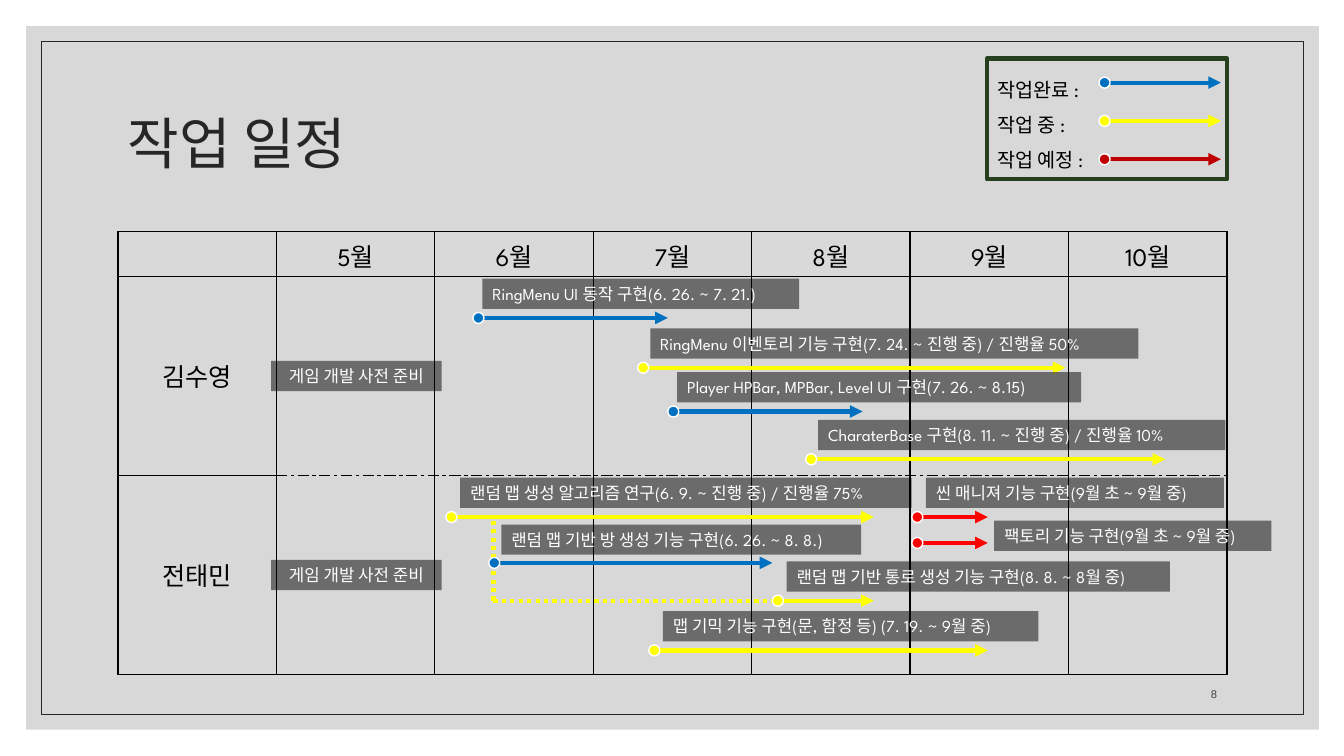
"""Build the work schedule slide: a month grid with task arrows and a legend."""
from lxml import etree
from pptx import Presentation
from pptx import util as u
from pptx.dml.color import RGBColor
from pptx.enum import dml, shapes, text
from pptx.oxml.ns import qn

BLACK = RGBColor(0x00, 0x00, 0x00)
WHITE = RGBColor(0xFF, 0xFF, 0xFF)
PANEL = RGBColor(0xBF, 0xBF, 0xBF)
HEADER = RGBColor(0xD9, 0xD9, 0xD9)
INK = RGBColor(0x26, 0x26, 0x26)
GREY = RGBColor(0x40, 0x40, 0x40)
GREEN = RGBColor(0x26, 0x3F, 0x1C)
BLUE = RGBColor(0x00, 0x70, 0xC0)
YELLOW = RGBColor(0xFF, 0xFF, 0x00)
RED = RGBColor(0xFF, 0x00, 0x00)
DARK_RED = RGBColor(0xC0, 0x00, 0x00)

BODY_FONT = "League Spartan"
W, H = 13.33, 7.5
LEFT, TOP, HEAD = 1.17, 2.3, 0.44
COL, ROW = 11 / 7, 3.95 / 2
BODY = TOP + HEAD
DOT, LABEL_H = 0.11, 0.3
RECT, OVAL = shapes.MSO_SHAPE.RECTANGLE, shapes.MSO_SHAPE.OVAL
LEFT_AL, CENTER, RIGHT = text.PP_ALIGN.LEFT, text.PP_ALIGN.CENTER, text.PP_ALIGN.RIGHT

prs = Presentation()
prs.slide_width, prs.slide_height = u.Inches(W), u.Inches(H)
s = prs.slides.add_slide(prs.slide_layouts[6])


def box(x, y, w, h, kind=RECT, fill=None, alpha=100, line=None, width=1, lines=(),
        size=12, font=BODY_FONT, color=WHITE, align=LEFT_AL,
        anchor=text.MSO_ANCHOR.MIDDLE, spacing=None):
    at = [u.Inches(v) for v in (x, y, w, h)]
    if kind is None:
        sp = s.shapes.add_textbox(*at)
    else:
        sp = s.shapes.add_shape(kind, *at)
        sp.shadow.inherit = False
    if fill is None:
        sp.fill.background()
    else:
        sp.fill.solid()
        sp.fill.fore_color.rgb = fill
        if alpha < 100:
            rgb = sp.fill._xPr.find(qn("a:solidFill"))[0]
            etree.SubElement(rgb, qn("a:alpha"), val=str(alpha * 1000))
    if line is None:
        sp.line.fill.background()
    else:
        sp.line.color.rgb = line
        sp.line.width = u.Pt(width)
    tf = sp.text_frame
    tf.word_wrap = True
    tf.vertical_anchor = anchor
    for i, words in enumerate(lines):
        p = tf.paragraphs[0] if i == 0 else tf.add_paragraph()
        p.alignment = align
        p.line_spacing = spacing
        r = p.add_run()
        r.text = words
        r.font.size, r.font.name = u.Pt(size), font
        r.font.color.rgb = color
    return sp


def line(x1, y1, x2, y2, color, dash=None):
    cx = s.shapes.add_connector(shapes.MSO_CONNECTOR.STRAIGHT,
                                *[u.Inches(v) for v in (x1, y1, x2, y2)])
    cx.line.color.rgb = color
    cx.line.width = u.Pt(3)
    if dash:
        cx.line.dash_style = dash
    else:
        box(x1 - DOT, y1 - DOT / 2, DOT, DOT, OVAL, fill=color, line=WHITE)
        etree.SubElement(cx.line._get_or_add_ln(), qn("a:tailEnd"), type="triangle")
    etree.SubElement(cx._element.spPr, qn("a:effectLst"))


box(0.26, 0.26, W - 0.51, H - 0.52, fill=PANEL, alpha=60)
box(0.41, 0.41, W - 0.81, H - 0.82, line=INK, width=0.5)
box(LEFT, 0.7, 11, 1.5, None, lines=["작업 일정"], size=40, font="Arial",
    color=INK, spacing=0.9)
box(11.25, 6.6, 0.92, 0.4, None, lines=["8"], size=8, font="Arial", color=GREY,
    align=RIGHT, anchor=text.MSO_ANCHOR.BOTTOM)

months = [f"{m}월" for m in range(5, 11)]
rows = [[""] + months, ["김수영"] + [""] * 6, ["전태민"] + [""] * 6]
tbl = s.shapes.add_table(3, 7, u.Inches(LEFT), u.Inches(TOP),
                         u.Inches(7 * COL), u.Inches(HEAD + 2 * ROW)).table
tbl.first_row = tbl.horz_banding = False
for col in tbl.columns:
    col.width = u.Inches(COL)
for row, height in zip(tbl.rows, (HEAD, ROW, ROW)):
    row.height = u.Inches(height)
for i, row in enumerate(rows):
    for j, words in enumerate(row):
        cell = tbl.cell(i, j)
        cell.vertical_anchor = text.MSO_ANCHOR.MIDDLE
        tcPr = cell._tc.get_or_add_tcPr()
        for side in ("lnL", "lnR", "lnT", "lnB"):
            ln = etree.SubElement(tcPr, qn(f"a:{side}"), w=str(u.Pt(1)))
            fill = etree.SubElement(ln, qn("a:solidFill"))
            etree.SubElement(fill, qn("a:srgbClr"), val=str(BLACK))
            dashed = j > 0 and (i, side) in ((1, "lnB"), (2, "lnT"))
            etree.SubElement(ln, qn("a:prstDash"), val="sysDashDot" if dashed else "solid")
        if i == 0:
            cell.fill.solid()
            cell.fill.fore_color.rgb = HEADER
        else:
            cell.fill.background()
        if words:
            p = cell.text_frame.paragraphs[0]
            p.alignment = CENTER
            r = p.add_run()
            r.text = words
            r.font.size, r.font.name = u.Pt(18), BODY_FONT
            r.font.color.rgb = BLACK

box(9.79, 0.58, 2.38, 1.2, line=GREEN, width=3, size=14, color=BLACK, spacing=1.5,
    lines=["작업완료 :", "작업 중 :", "작업 예정 :"])
for i, color in enumerate((BLUE, YELLOW, DARK_RED)):
    y = 0.82 + 0.38 * i
    line(11.01, y, 12.11, y, color)

# Columns: dot, arrow end, row, colour, label column, label width, label rise, label
tasks = [
    (2.07, 4.77, 1.21, YELLOW, 2.16, 2.85, 0.39, "랜덤 맵 생성 알고리즘 연구(6. 9. ~ 진행 중) / 진행율 75%"),
    (4.13, 4.77, 1.63, YELLOW, 4.22, 2.42, 0.39, "랜덤 맵 기반 통로 생성 기능 구현(8. 8. ~ 8월 중)"),
    (3.35, 5.49, 1.88, YELLOW, 3.44, 2.37, 0.39, "맵 기믹 기능 구현(문, 함정 등) (7. 19. ~ 9월 중)"),
    (2.34, 4.13, 1.44, BLUE, 2.42, 2.27, 0.38, "랜덤 맵 기반 방 생성 기능 구현(6. 26. ~ 8. 8.)"),
    (5.01, 5.49, 1.21, RED, 5.1, 1.88, 0.39, "씬 매니져 기능 구현(9월 초 ~ 9월 중)"),
    (5.01, 5.49, 1.34, RED, 5.53, 1.75, 0.22, "팩토리 기능 구현(9월 초 ~ 9월 중)"),
    (2.24, 3.47, 0.21, BLUE, 2.3, 2, 0.39, "RingMenu UI 동작 구현(6. 26. ~ 7. 21.)"),
    (3.28, 5.98, 0.46, YELLOW, 3.36, 3.08, 0.39, "RingMenu 이벤토리 기능 구현(7. 24. ~ 진행 중) / 진행율 50%"),
    (3.47, 4.7, 0.68, BLUE, 3.53, 2.55, 0.39, "Player HPBar, MPBar, Level UI 구현(7. 26. ~ 8.15)"),
    (4.34, 6.61, 0.92, YELLOW, 4.42, 2.57, 0.39, "CharaterBase 구현(8. 11. ~ 진행 중) / 진행율 10%"),
]
branch_x, branch_y = LEFT + 2.37 * COL, BODY + 1.63 * ROW
for x2, y2 in ((branch_x, BODY + 1.21 * ROW), (LEFT + 4.13 * COL, branch_y)):
    line(branch_x, branch_y, x2, y2, YELLOW, dml.MSO_LINE.ROUND_DOT)
for start, end, row, color, label_col, label_w, rise, words in tasks:
    y = BODY + row * ROW
    line(LEFT + start * COL + DOT, y, LEFT + end * COL, y, color)
    sp = box(LEFT + label_col * COL, y - rise, label_w * COL, LABEL_H, fill=BLACK,
             alpha=50, lines=[words], anchor=text.MSO_ANCHOR.TOP)
    sp.text_frame.word_wrap = False
for person in range(2):
    box(2.69, 3.58 + person * ROW, 1.69, LABEL_H, fill=BLACK, alpha=50, align=CENTER,
        lines=["게임 개발 사전 준비"], anchor=text.MSO_ANCHOR.TOP)

prs.save("out.pptx")
